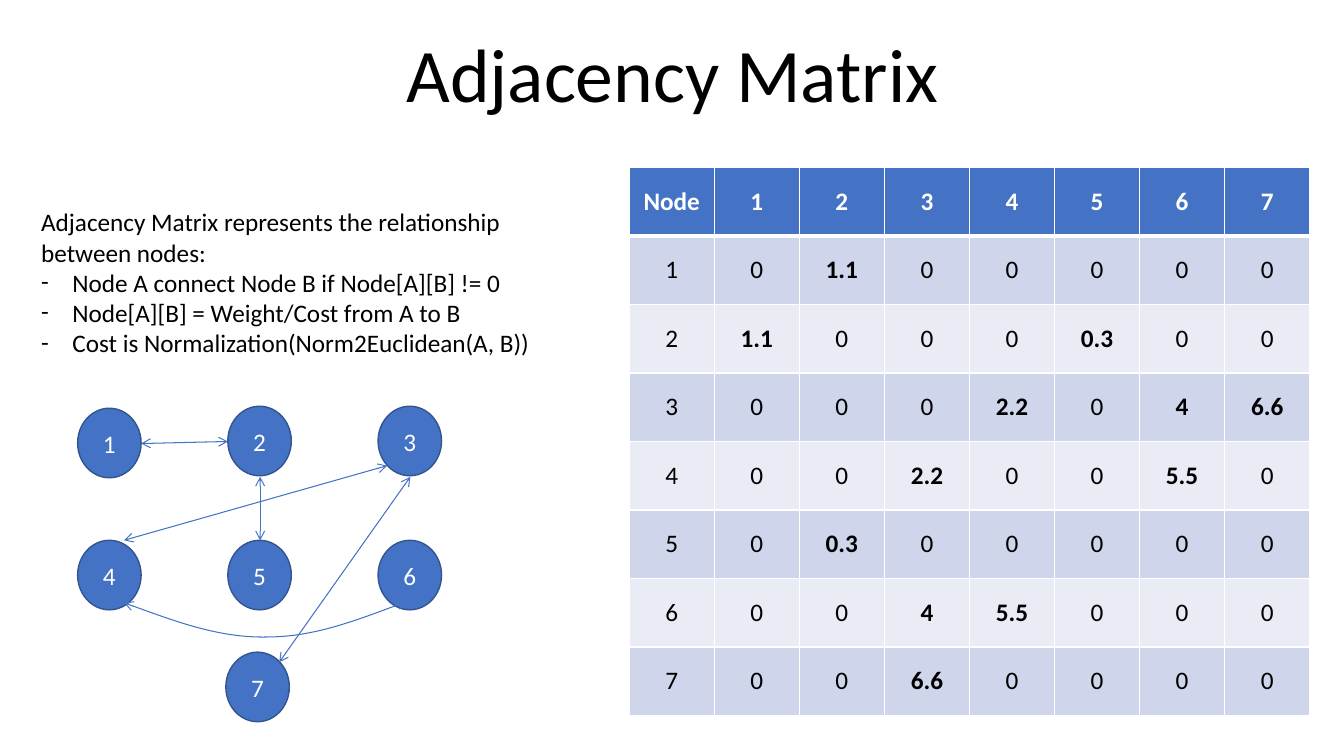
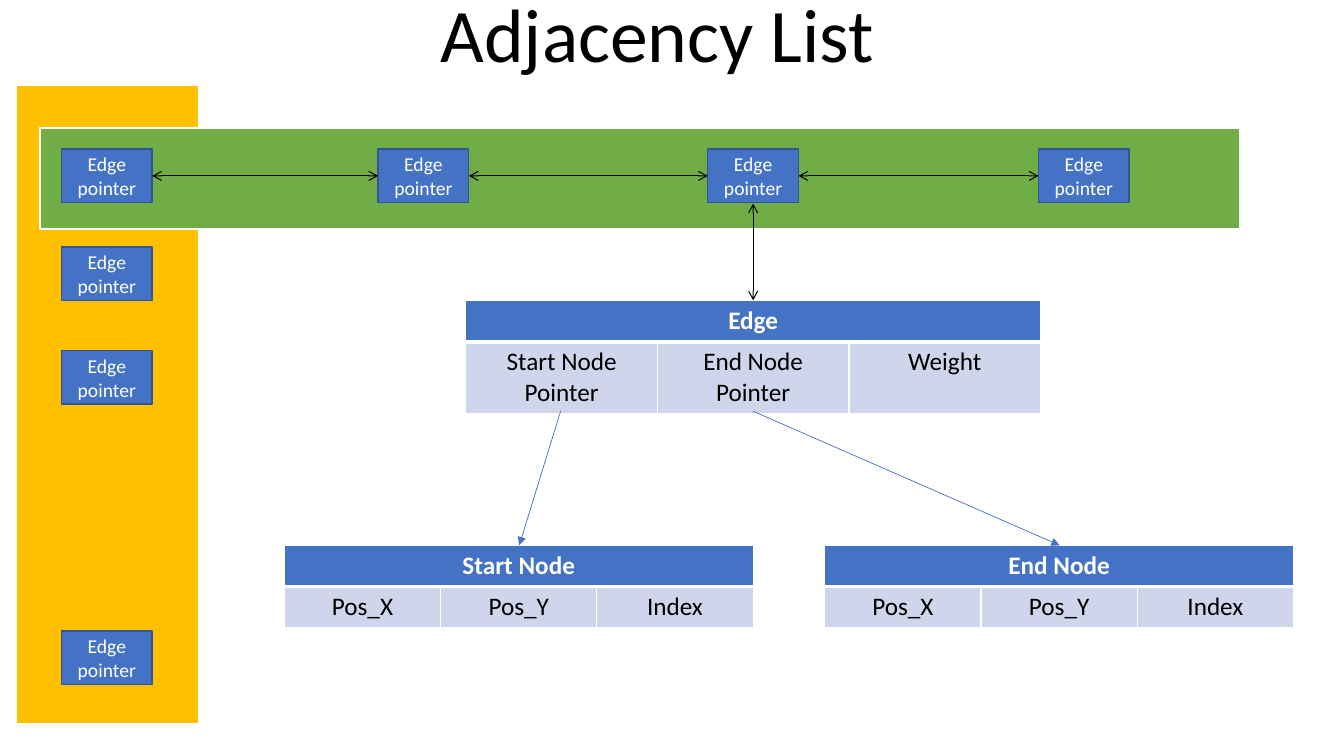
from pptx import Presentation
from pptx import util as u
from pptx.dml.color import RGBColor
from pptx.enum import shapes, text
from pptx.oxml import ns, xmlchemy

BLACK = RGBColor(0x00, 0x00, 0x00)
WHITE = RGBColor(0xFF, 0xFF, 0xFF)
BLUE = RGBColor(0x44, 0x72, 0xC4)
NAVY = RGBColor(0x32, 0x54, 0x91)
AMBER = RGBColor(0xFF, 0xC0, 0x00)
GREEN = RGBColor(0x70, 0xAD, 0x47)
ROW_TINTS = (RGBColor(0xCF, 0xD5, 0xEA), RGBColor(0xE9, 0xEB, 0xF5))

TITLE_FONT = {"name": "Calibri", "size": u.Pt(54), "bold": False}
BODY_FONT = {"name": "Calibri", "size": u.Pt(18), "bold": False}
STRONG_FONT = {**BODY_FONT, "bold": True}
POINTER_FONT = {**BODY_FONT, "size": u.Pt(14)}
CENTRED = {"alignment": text.PP_ALIGN.CENTER}
TITLE_PARAGRAPH = {**CENTRED, "line_spacing": 0.9}
TITLE_FRAME = {"word_wrap": True, "auto_size": text.MSO_AUTO_SIZE.NONE,
               "vertical_anchor": text.MSO_ANCHOR.BOTTOM}
NOTE_FRAME = {"word_wrap": True, "auto_size": text.MSO_AUTO_SIZE.SHAPE_TO_FIT_TEXT}
SHAPE_FRAME = {"word_wrap": True, "vertical_anchor": text.MSO_ANCHOR.MIDDLE}

NODE_SIZE = (0.63, 0.69)
NODES = {1: (0.77, 4.05), 2: (2.26, 4.03), 3: (3.75, 4.03),
         4: (0.77, 5.36), 5: (2.26, 5.36), 6: (3.75, 5.36), 7: (2.24, 6.47)}
WEIGHTS = {(1, 2): "1.1", (2, 5): "0.3", (3, 4): "2.2",
           (3, 6): "4", (3, 7): "6.6", (4, 6): "5.5"}
EDGES = [(1.4, 4.4, 2.26, 4.38), (2.58, 4.73, 2.58, 5.36),
         (1.23, 5.36, 3.84, 4.62), (2.77, 6.57, 4.07, 4.73)]
CURVED_EDGE = [(1.23, 5.98), (1.7, 6.15), (2.18, 6.33), (2.65, 6.32),
               (3.11, 6.32), (3.57, 6.14), (4.03, 5.97)]
RULES = ["Node A connect Node B if Node[A][B] != 0",
         "Node[A][B] = Weight/Cost from A to B",
         "Cost is Normalization(Norm2Euclidean(A, B))"]
POINTER_SIZE = (0.9, 0.53)
NODE_FIELDS = ["Pos_X", "Pos_Y", "Index"]


def apply(target, values):
    """Set each attribute named in a dict of format values."""
    for name, value in values.items():
        setattr(target, name, value)


def inches(numbers):
    """Turn plain numbers into lengths."""
    return [u.Inches(number) for number in numbers]


def add_xml(parent, tag, **attributes):
    """Append a DrawingML element and return it."""
    child = parent.makeelement(ns.qn(tag), attributes)
    parent.append(child)
    return child


def write(paragraph, wording, font, color, layout=CENTRED):
    """Put one formatted run in a paragraph."""
    run = paragraph.add_run()
    run.text = wording
    apply(paragraph, layout)
    apply(run.font, font)
    run.font.color.rgb = color


def add_titled_slide(deck, wording, left, top):
    """Add a title-only slide and place its heading."""
    slide = deck.slides.add_slide(deck.slide_layouts[5])
    heading = slide.shapes.title
    apply(heading, dict(zip(("left", "top", "width", "height"),
                            inches((left, top, 10, 1)))))
    apply(heading.text_frame, TITLE_FRAME)
    write(heading.text_frame.paragraphs[0], wording, TITLE_FONT, BLACK, TITLE_PARAGRAPH)
    return slide


def add_block(slide, preset, box, fill, outline, weight):
    """Add a flat filled shape."""
    block = slide.shapes.add_shape(preset, *inches(box))
    block.shadow.inherit = False
    block.fill.solid()
    block.fill.fore_color.rgb = fill
    block.line.color.rgb = outline
    block.line.width = u.Pt(weight)
    return block


def add_label_block(slide, preset, box, wording, font):
    """Add a blue shape with centred white wording."""
    block = add_block(slide, preset, box, BLUE, NAVY, 1)
    apply(block.text_frame, SHAPE_FRAME)
    write(block.text_frame.paragraphs[0], wording, font, WHITE)
    return block


def style_line(line_shape, color, weight, head="arrow", tail="arrow"):
    """Colour a line and set its arrowheads."""
    line_shape.line.color.rgb = color
    line_shape.line.width = u.Pt(weight)
    stroke = line_shape.line._get_or_add_ln()
    for tag, kind in (("a:headEnd", head), ("a:tailEnd", tail)):
        add_xml(stroke, tag, type=kind)


def add_arrow(slide, ends, color, weight=0.75, head="arrow", tail="arrow"):
    """Add a straight arrow between two points."""
    arrow = slide.shapes.add_connector(shapes.MSO_CONNECTOR.STRAIGHT, *inches(ends))
    style_line(arrow, color, weight, head, tail)
    add_xml(arrow._element.spPr, "a:effectLst")
    return arrow


def add_curve(slide, points, color):
    """Add a double-headed chain of cubic curves."""
    start, *controls = [inches(point) for point in points]
    builder = slide.shapes.build_freeform(*start)
    builder.add_line_segments(controls, close=False)
    curve = builder.convert_to_shape()
    curve.shadow.inherit = False
    curve.fill.background()
    style_line(curve, color, 0.75)
    steps = curve._element.xpath(".//a:lnTo")
    outline = steps[0].getparent()
    for first in range(0, len(steps), 3):
        bend = add_xml(outline, "a:cubicBezTo")
        for step in steps[first:first + 3]:
            bend.append(step[0])
            outline.remove(step)


def style_cell(cell, wording, fill, header, strong, anchor):
    """Format one table cell with white borders."""
    properties = cell._tc.get_or_add_tcPr()
    for side in "LRTB":
        weight = 3 if header and side == "B" else 1
        border = add_xml(properties, "a:ln" + side, w=str(u.Pt(weight)))
        add_xml(add_xml(border, "a:solidFill"), "a:srgbClr", val=str(WHITE))
    cell.fill.solid()
    cell.fill.fore_color.rgb = fill
    cell.vertical_anchor = anchor
    if wording:
        write(cell.text_frame.paragraphs[0], wording,
              STRONG_FONT if strong or header else BODY_FONT,
              WHITE if header else BLACK)


def add_grid(slide, box, rows, heights, strong=(), anchor=text.MSO_ANCHOR.TOP):
    """Add a table with a blue header and tinted rows."""
    columns = len(rows[0])
    grid = slide.shapes.add_table(len(rows), columns, *inches(box)).table
    for column in grid.columns:
        column.width = u.Inches(box[2] / columns)
    for r, (row, height) in enumerate(zip(rows, heights)):
        grid.rows[r].height = u.Inches(height)
        for c, wording in enumerate(row):
            fill = ROW_TINTS[(r - 1) % 2] if r else BLUE
            style_cell(grid.cell(r, c), wording, fill, r == 0, (r, c) in strong, anchor)
    return grid


def add_record(slide, box, name, fields, heights):
    """Add a table whose name spans all its fields."""
    record = add_grid(slide, box, [[name, "", ""], fields], heights)
    record.cell(0, 0).merge(record.cell(0, 2))


def add_rules(slide):
    """Add the explanation with its dashed list."""
    note = slide.shapes.add_textbox(*inches((0.31, 2, 5.52, 1.62))).text_frame
    apply(note, NOTE_FRAME)
    left = {"alignment": text.PP_ALIGN.LEFT}
    write(note.paragraphs[0], "Adjacency Matrix represents the relationship between nodes:",
          BODY_FONT, BLACK, left)
    for rule in RULES:
        paragraph = note.add_paragraph()
        write(paragraph, rule, BODY_FONT, BLACK, left)
        properties = paragraph._p.get_or_add_pPr()
        indent = u.Inches(0.31)
        properties.set("marL", str(indent))
        properties.set("indent", str(-indent))
        add_xml(properties, "a:buFont", typeface="Calibri")
        add_xml(properties, "a:buChar", char="-")


def build_matrix_slide(deck):
    """Show the graph beside its weight matrix."""
    slide = add_titled_slide(deck, "Adjacency Matrix", 1.67, 0.23)
    costs = {**WEIGHTS, **{(b, a): cost for (a, b), cost in WEIGHTS.items()}}
    rows = [["Node", *map(str, NODES)]]
    rows += [[str(a), *(costs.get((a, b), "0") for b in NODES)] for a in NODES]
    add_grid(slide, (6.24, 1.66, 6.75, 5.44), rows, [0.68] * len(rows),
             costs, text.MSO_ANCHOR.MIDDLE)
    add_rules(slide)
    for number, corner in NODES.items():
        add_label_block(slide, shapes.MSO_SHAPE.OVAL, corner + NODE_SIZE,
                        str(number), BODY_FONT)
    for ends in EDGES:
        add_arrow(slide, ends, BLUE)
    add_curve(slide, CURVED_EDGE, BLUE)


def build_list_slide(deck):
    """Show the edge pointer lists and the records they reach."""
    slide = add_titled_slide(deck, "Adjacency List", 1.52, -0.17)
    rectangle = shapes.MSO_SHAPE.RECTANGLE
    add_block(slide, rectangle, (0.16, 0.84, 1.81, 6.34), AMBER, WHITE, 1.5)
    add_block(slide, rectangle, (0.4, 1.27, 11.9, 1), GREEN, WHITE, 1.5)
    corners = [(left, 1.48) for left in (0.61, 3.75, 7.02, 10.3)]
    corners += [(0.61, top) for top in (2.45, 3.48, 6.26)]
    pointers = [add_label_block(slide, rectangle, corner + POINTER_SIZE,
                                "Edge pointer", POINTER_FONT) for corner in corners]
    chain = pointers[:4]
    for before, after in zip(chain, chain[1:]):
        link = add_arrow(slide, (1.52, 1.75, 3.75, 1.75), BLACK)
        link.begin_connect(before, 3)
        link.end_connect(after, 1)
    add_record(slide, (4.62, 2.98, 5.7, 1.11), "Edge",
               ["Start Node Pointer", "End Node Pointer", "Weight"], (0.41, 0.7))
    add_arrow(slide, (7.47, 2.02, 7.47, 2.98), BLACK)
    for name, left in (("Start Node", 2.82), ("End Node", 8.18)):
        add_record(slide, (left, 5.41, 4.65, 0.81), name, NODE_FIELDS, (0.41, 0.41))
    for ends in ((5.56, 4.08, 5.15, 5.41), (7.47, 4.08, 10.51, 5.41)):
        add_arrow(slide, ends, BLUE, 0.5, "none", "triangle")


def main():
    """Build and save the deck."""
    deck = Presentation()
    deck.slide_width, deck.slide_height = inches((13.33, 7.5))
    build_matrix_slide(deck)
    build_list_slide(deck)
    deck.save("out.pptx")


main()
